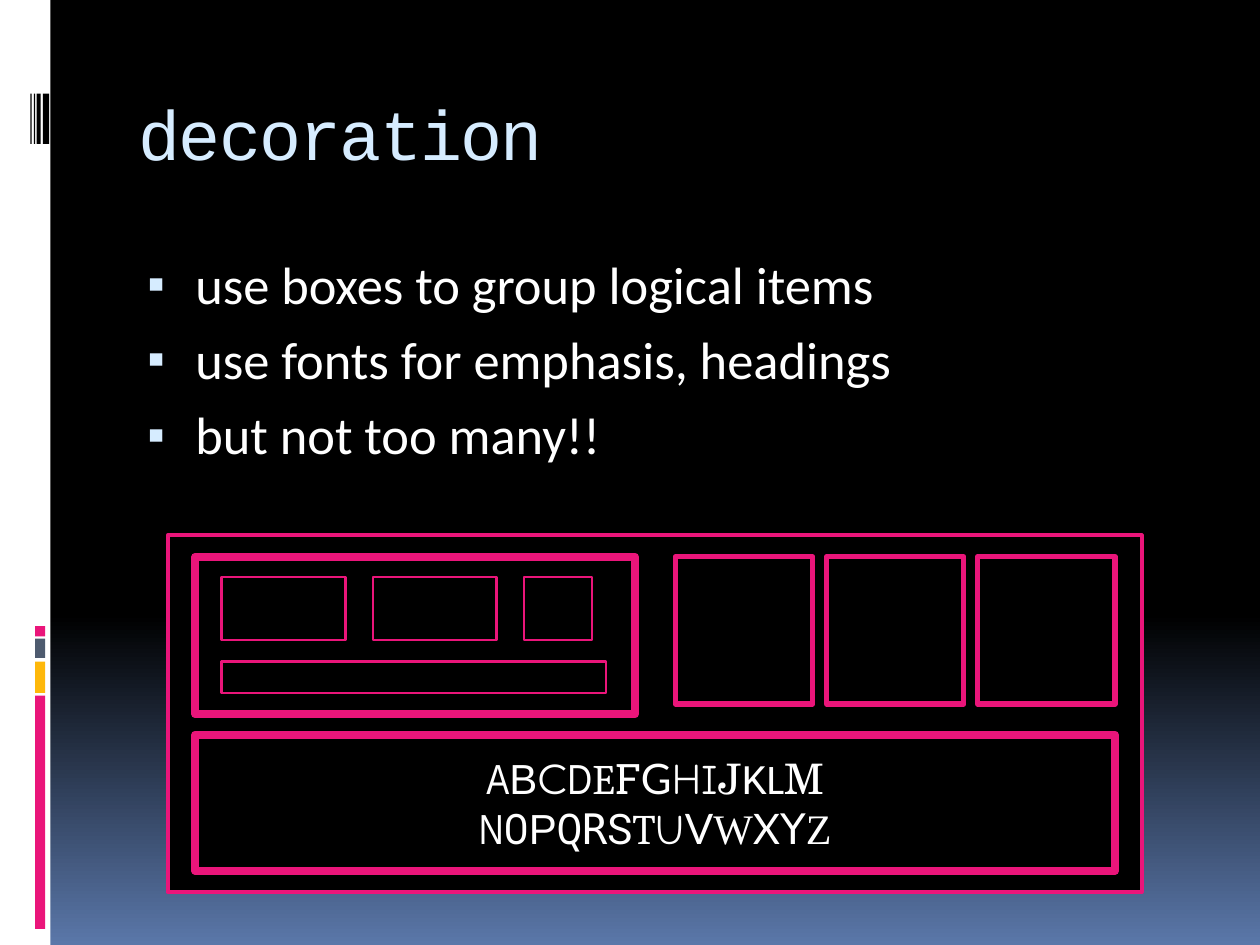
import pptx
import pptx.util
import pptx.dml.color
import pptx.enum.shapes
import pptx.enum.text
import lxml.etree
from pptx.oxml.ns import qn

Pt = pptx.util.Pt
PINK, BLACK, WHITE, PALE_BLUE = "EA157A", "000000", "FFFFFF", "D6ECFF"


def colour(value):
    return pptx.dml.color.RGBColor.from_string(value)


def add_box(shapes, left, top, width, height, fill, line_width=0):
    box = shapes.add_shape(pptx.enum.shapes.MSO_SHAPE.RECTANGLE,
                           Pt(left), Pt(top), Pt(width), Pt(height))
    box.shadow.inherit = False
    box.fill.solid()
    box.fill.fore_color.rgb = colour(fill)
    if line_width:
        box.line.color.rgb = colour(PINK)
        box.line.width = Pt(line_width)
    else:
        box.line.fill.background()
    return box


deck = pptx.Presentation()
deck.slide_width, deck.slide_height = Pt(720), Pt(540)
slide = deck.slides.add_slide(deck.slide_layouts[1])

background = slide.background.fill
background.gradient()
background.gradient_angle = 270
for stop, position, value in zip(background.gradient_stops, (0.65, 1), (BLACK, "5A77A9")):
    stop.position = position
    stop.color.rgb = colour(value)

add_box(slide.shapes, 0, 0, 28.8, 540, WHITE)
for top, height, fill in [(397.5, 133.3, PINK), (378, 18, "FEB80A"),
                          (365, 11, "4E5B6F"), (357.8, 5.8, PINK)]:
    add_box(slide.shapes, 20, top, 5.8, height, fill)
for left, width in [(24.5, 3.6), (21, 2.2), (19.4, 0.7), (17.4, 0.7)]:
    add_box(slide.shapes, left, 53.5, width, 28.8, BLACK)

title = slide.shapes.title
title.left, title.top, title.width, title.height = Pt(72), Pt(40), Pt(612), Pt(72)
title.text_frame.vertical_anchor = pptx.enum.text.MSO_ANCHOR.MIDDLE
title.text_frame.auto_size = pptx.enum.text.MSO_AUTO_SIZE.NONE
para = title.text_frame.paragraphs[0]
para.alignment = pptx.enum.text.PP_ALIGN.LEFT
span = para.add_run()
span.text = "decoration"
span.font.name, span.font.size = "Courier New", Pt(40)
span.font.color.rgb = colour(PALE_BLUE)
span.font._element.set("spc", "-100")

body = slide.placeholders[1]
body.left, body.top, body.width, body.height = Pt(72), Pt(140.4), Pt(612), Pt(360)
body.text_frame.auto_size = pptx.enum.text.MSO_AUTO_SIZE.NONE
items = ["use boxes to group logical items",
         "use fonts for emphasis, headings",
         "but not too many!!"]
for index, item in enumerate(items):
    para = body.text_frame.add_paragraph() if index else body.text_frame.paragraphs[0]
    para.space_before = Pt(7)
    properties = para._p.get_or_add_pPr()
    properties.set("marL", str(Pt(32.4)))
    properties.set("indent", str(Pt(-27.4)))
    bullet_colour = lxml.etree.SubElement(properties, qn("a:buClr"))
    lxml.etree.SubElement(bullet_colour, qn("a:srgbClr"), val=PALE_BLUE)
    lxml.etree.SubElement(properties, qn("a:buSzPct"), val="95000")
    lxml.etree.SubElement(properties, qn("a:buFont"), typeface="Arial")
    lxml.etree.SubElement(properties, qn("a:buChar"), char="▪")
    span = para.add_run()
    span.text = item
    span.font.name, span.font.size = "Calibri", Pt(30)
    span.font.color.rgb = colour(WHITE)

diagram = slide.shapes.add_group_shape().shapes
add_box(diagram, 95.8, 306, 556.6, 203.8, BLACK, 2.25)
add_box(diagram, 111.6, 318.2, 251.3, 90, BLACK, 4.5)
alphabet = add_box(diagram, 111.6, 419.8, 525.6, 77.8, BLACK, 4.5)
for column in range(3):
    add_box(diagram, 385.9 + 86.4 * column, 318.2, 78.5, 84.2, BLACK, 3)
for column, width in enumerate((70.6, 70.6, 38.9)):
    add_box(diagram, 126.7 + 86.4 * column, 329.8, width, 36, BLACK, 1.5)
add_box(diagram, 126.7, 378, 219.6, 18, BLACK, 1.5)

letter_rows = [
    ("ABCDEFGHIJKLM",
     ["Arial Narrow", "Arial", "Montserrat", "Arial Narrow", "Cambria", "Roboto Slab",
      "Lato", "Quicksand", "Comic Neue", "TeX Gyre Schola", "Courier New", "Calibri",
      "TeX Gyre Schola"]),
    ("NOPQRSTUVWXYZ",
     ["Arial Narrow", "Roboto Condensed", "Arial", "Noto Sans Mono", "DejaVu Sans Mono",
      "Roboto", "Cambria", "Comic Neue", "Lato", "Times New Roman", "Lato",
      "DejaVu Sans", "Times New Roman"]),
]
frame = alphabet.text_frame
frame.word_wrap = False
frame.vertical_anchor = pptx.enum.text.MSO_ANCHOR.MIDDLE
for index, (letters, fonts) in enumerate(letter_rows):
    para = frame.add_paragraph() if index else frame.paragraphs[0]
    para.alignment = pptx.enum.text.PP_ALIGN.CENTER
    for letter, font in zip(letters, fonts):
        span = para.add_run()
        span.text = letter
        span.font.name, span.font.size = font, Pt(24)
        span.font.color.rgb = colour(WHITE)

deck.save("out.pptx")
